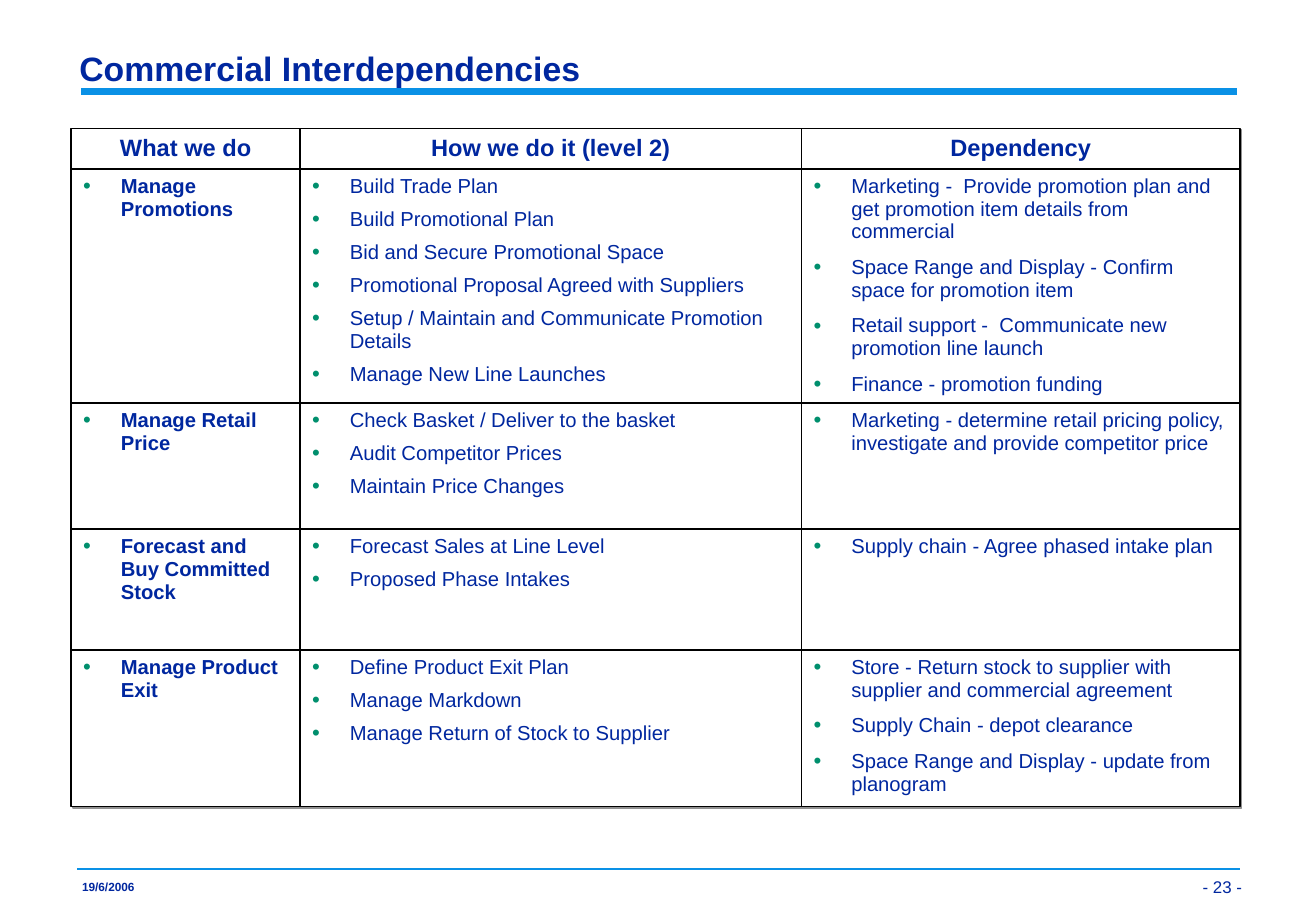
from itertools import accumulate
from lxml.etree import SubElement
from pptx import Presentation
from pptx.dml.color import RGBColor
from pptx.enum.shapes import MSO_CONNECTOR, MSO_SHAPE
from pptx.enum.text import MSO_ANCHOR, MSO_AUTO_SIZE, PP_ALIGN
from pptx.oxml.ns import qn
from pptx.util import Cm, Pt

INK = {"text": "00279F", "rule": "0A91E6", "bullet": "008F6D",
       "grid": "000000", "cell": "FFFFFF", "shade": "919191"}
WIDTHS = [4.79, 10.49, 9.17]
HEIGHTS = [0.84, 4.9, 2.64, 2.52, 3.28]
GAPS = [6, 6, 7.5]
HEADS = ["What we do", "How we do it (level 2)", "Dependency"]
ROWS = [
    [["Manage Promotions"],
     ["Build Trade Plan", "Build Promotional Plan",
      "Bid and Secure Promotional Space",
      "Promotional Proposal Agreed with Suppliers",
      "Setup / Maintain and Communicate Promotion Details",
      "Manage New Line Launches"],
     ["Marketing -  Provide promotion plan and get promotion item details from commercial",
      "Space Range and Display - Confirm space for promotion item",
      "Retail support -  Communicate new promotion line launch",
      "Finance - promotion funding"]],
    [["Manage Retail Price"],
     ["Check Basket / Deliver to the basket", "Audit Competitor Prices",
      "Maintain Price Changes"],
     ["Marketing - determine retail pricing policy, investigate and provide competitor price"]],
    [["Forecast and Buy Committed Stock"],
     ["Forecast Sales at Line Level", "Proposed Phase Intakes"],
     ["Supply chain - Agree phased intake plan"]],
    [["Manage Product Exit"],
     ["Define Product Exit Plan", "Manage Markdown",
      "Manage Return of Stock to Supplier"],
     ["Store - Return stock to supplier with supplier and commercial agreement",
      "Supply Chain - depot clearance",
      "Space Range and Display - update from planogram"]],
]


def tint(name):
    """Return the named colour."""
    return RGBColor.from_string(INK[name])


def style(para, size, bold=False, align=PP_ALIGN.LEFT, pitch=0.94):
    """Set the font and layout of a paragraph."""
    para.alignment = align
    para.line_spacing = pitch
    para.space_before = Pt(0)
    font = para.font
    font.name, font.size, font.bold = "Arial", Pt(size), bold
    font.color.rgb = tint("text")


def bullet(para):
    """Give a paragraph a green bullet and a hanging indent."""
    props = para._p.get_or_add_pPr()
    props.set("marL", str(Cm(0.79)))
    props.set("indent", str(-Cm(0.79)))
    color = SubElement(props, qn("a:buClr"))
    SubElement(color, qn("a:srgbClr"), val=INK["bullet"])
    SubElement(props, qn("a:buSzPct"), val="110000")
    SubElement(props, qn("a:buFont"), typeface="Arial")
    SubElement(props, qn("a:buChar"), char="•")


def set_frame(frame, side, edge, anchor, wrap=True):
    """Set the margins, anchor and wrapping of a text frame."""
    frame.auto_size = MSO_AUTO_SIZE.NONE
    frame.margin_left = frame.margin_right = side
    frame.margin_top = frame.margin_bottom = edge
    frame.vertical_anchor = anchor
    frame.word_wrap = wrap


def add_cell(slide, left, top, width, height):
    """Add a white box with a hard shadow and return its text frame."""
    cell = slide.shapes.add_shape(
        MSO_SHAPE.RECTANGLE, left, top, width, height)
    cell.fill.solid()
    cell.fill.fore_color.rgb = tint("cell")
    cell.line.color.rgb = tint("grid")
    cell.line.width = Pt(1)
    cell.shadow.inherit = False
    effects = cell._element.spPr.find(qn("a:effectLst"))
    shade = SubElement(effects, qn("a:outerShdw"), blurRad="0",
                       dist=str(Pt(1.4)), dir="2700000",
                       algn="ctr", rotWithShape="0")
    SubElement(shade, qn("a:srgbClr"), val=INK["shade"])
    return cell.text_frame


def add_label(slide, box, text):
    """Place a column heading in its box."""
    frame = add_cell(slide, *box)
    set_frame(frame, Cm(0.25), Cm(0.13), MSO_ANCHOR.MIDDLE)
    frame.text = text
    style(frame.paragraphs[0], 14, True, PP_ALIGN.CENTER)


def add_list(slide, box, items, bold, gap):
    """Place a bulleted list in its box."""
    frame = add_cell(slide, *box)
    set_frame(frame, Cm(0.25), Cm(0.13), MSO_ANCHOR.TOP)
    for index, item in enumerate(items):
        para = frame.paragraphs[0] if index == 0 else frame.add_paragraph()
        para.text = item
        bullet(para)
        style(para, 12, bold)
        para.space_before = Pt(gap if index else 0)


def add_grid(slide, left, top):
    """Place the headings and lists column by column."""
    lefts = accumulate(WIDTHS, initial=0)
    tops = list(accumulate(HEIGHTS, initial=0))
    for col, (shift, width) in enumerate(zip(lefts, WIDTHS)):
        boxes = [(left + Cm(shift), top + Cm(drop), Cm(width), Cm(height))
                 for drop, height in zip(tops, HEIGHTS)]
        add_label(slide, boxes[0], HEADS[col])
        for box, cells in zip(boxes[1:], ROWS):
            add_list(slide, box, cells[col], col == 0, GAPS[col])


def add_rule(slide, left, top, width, weight):
    """Draw a level blue line."""
    rule = slide.shapes.add_connector(
        MSO_CONNECTOR.STRAIGHT, left, top, left + width, top)
    rule.line.color.rgb = tint("rule")
    rule.line.width = Pt(weight)
    SubElement(rule._element.spPr, qn("a:effectLst"))


def add_head(slide, left, top, width, height):
    """Place the title on its blue line."""
    add_rule(slide, left + Cm(0.22), top + Cm(1.09), width - Cm(0.28), 4)
    title = slide.shapes.title
    title.left, title.top, title.width, title.height = left, top, width, height
    slide.shapes._spTree.append(title._element)
    title.text = "Commercial Interdependencies"
    set_frame(title.text_frame, Cm(0.18), Cm(0.08), MSO_ANCHOR.BOTTOM)
    style(title.text_frame.paragraphs[0], 20, True, pitch=0.97)


def add_foot(slide, left, top, width):
    """Place the date and page number below a thin line."""
    add_rule(slide, left, top, width, 1)
    date = slide.shapes.add_textbox(
        left + Cm(0.1), top + Cm(0.25), Cm(1.1), Cm(0.28))
    date.text_frame.text = "19/6/2006"
    set_frame(date.text_frame, 0, 0, MSO_ANCHOR.TOP, False)
    style(date.text_frame.paragraphs[0], 7, True)
    page = slide.shapes.add_textbox(
        left + width - Cm(1.3), top - Cm(0.33), Cm(1.53), Cm(0.99))
    page.text_frame.text = "- 23 -"
    set_frame(page.text_frame, Cm(0.18), Cm(0.08), MSO_ANCHOR.BOTTOM)
    style(page.text_frame.paragraphs[0], 10, align=PP_ALIGN.RIGHT, pitch=1.0)


def main():
    """Build the slide and save it."""
    deck = Presentation()
    deck.slide_width, deck.slide_height = Cm(27.53), Cm(19.05)
    slide = deck.slides.add_slide(deck.slide_layouts[5])
    add_head(slide, Cm(1.48), Cm(0.82), Cm(24.46), Cm(1.12))
    add_grid(slide, Cm(1.49), Cm(2.69))
    add_foot(slide, Cm(1.62), Cm(18.17), Cm(24.31))
    deck.save("out.pptx")


if __name__ == "__main__":
    main()
